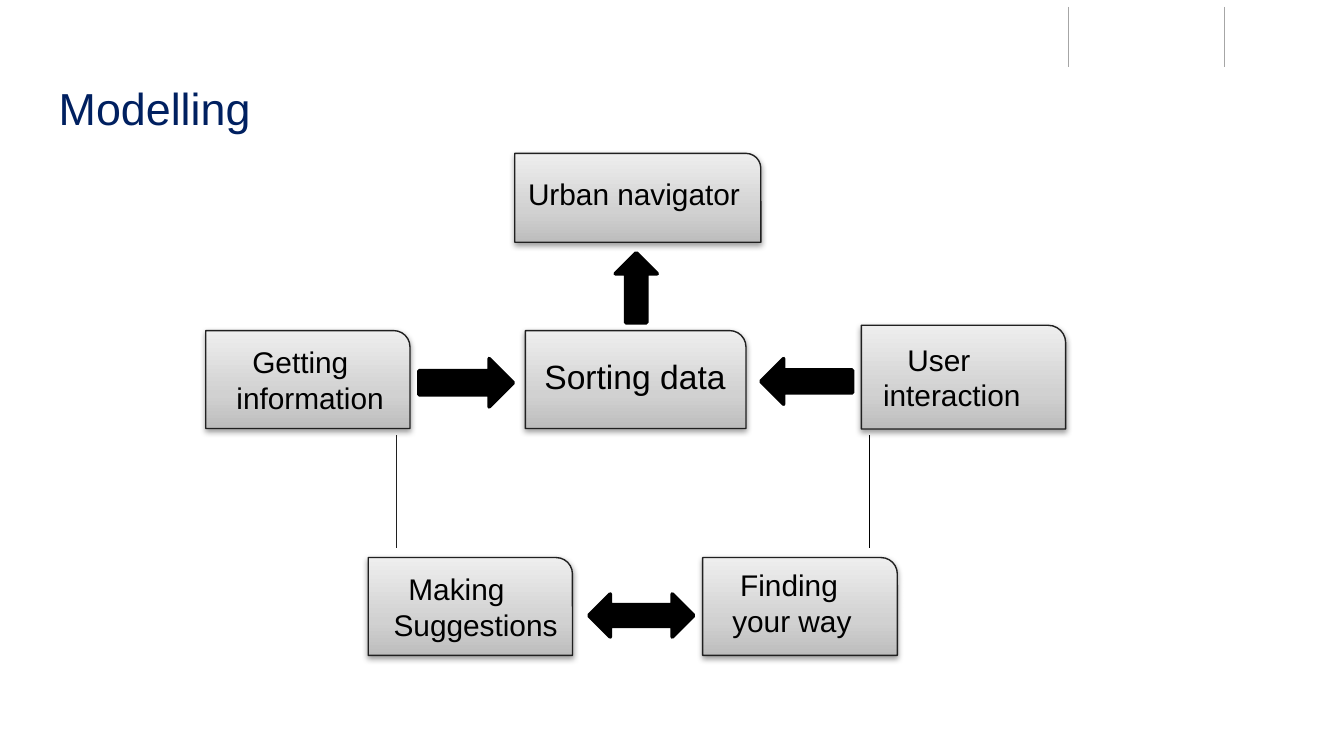
"""Build the Modelling slide: a diagram of labelled boxes, arrows and lines."""
from copy import deepcopy

from lxml import etree
from pptx import Presentation
from pptx.dml.color import RGBColor
from pptx.enum.shapes import MSO_CONNECTOR, MSO_SHAPE
from pptx.enum.text import MSO_ANCHOR, PP_ALIGN
from pptx.oxml.ns import qn
from pptx.util import Cm, Pt

BOX = MSO_SHAPE.ROUND_1_RECTANGLE
UP = MSO_SHAPE.UP_ARROW
RIGHT = MSO_SHAPE.RIGHT_ARROW
LEFT = MSO_SHAPE.LEFT_ARROW
BOTH = MSO_SHAPE.LEFT_RIGHT_ARROW
STRAIGHT = MSO_CONNECTOR.STRAIGHT
TOP = MSO_ANCHOR.TOP
MIDDLE = MSO_ANCHOR.MIDDLE
START = PP_ALIGN.LEFT


def color(code):
    return RGBColor.from_string(code)


class Deck:
    font = "Arial"
    navy, black, edge, grey = "002060", "000000", "202020", "A6A6A6"
    stops = ((0, "BDBDBD"), (0.35, "D1D1D1"), (1, "EEEEEE"))

    def __init__(self):
        self.prs = Presentation()
        self.prs.slide_width, self.prs.slide_height = Cm(25.4), Cm(14.29)
        self.slide = self.prs.slides.add_slide(self.prs.slide_layouts[5])

    def style(self, para, size, code):
        para.alignment = START
        for run in para.runs:
            run.font.name = self.font
            run.font.size = Pt(size)
            run.font.color.rgb = color(code)

    def title(self, text, x, y, w, h):
        shape = self.slide.shapes.title
        shape.left, shape.top, shape.width, shape.height = map(Cm, (x, y, w, h))
        frame = shape.text_frame
        frame.text = text
        frame.vertical_anchor = MIDDLE
        frame.margin_left = Cm(0.25)
        self.style(frame.paragraphs[0], 24, self.navy)

    def shape(self, kind, x, y, w, h, line, width):
        shape = self.slide.shapes.add_shape(kind, *map(Cm, (x, y, w, h)))
        shape.shadow.inherit = False
        shape.line.color.rgb = color(line)
        shape.line.width = Pt(width)
        return shape

    def shade(self, shape):
        shape.fill.gradient()
        shape.fill.gradient_angle = 90
        props = shape._element.spPr
        marks = props.find(qn("a:gradFill")).find(qn("a:gsLst"))
        marks.append(deepcopy(marks[-1]))
        for stop, (place, code) in zip(shape.fill.gradient_stops, self.stops):
            stop.position = place
            stop.color.rgb = color(code)
        glow = etree.SubElement(
            props.find(qn("a:effectLst")), qn("a:outerShdw"),
            blurRad="40000", dist="20000", dir="5400000", rotWithShape="0")
        tone = etree.SubElement(glow, qn("a:srgbClr"), val=self.black)
        etree.SubElement(tone, qn("a:alpha"), val="38000")

    def box(self, text, x, y, w, h, left, top, indent=0, size=16):
        shape = self.shape(BOX, x, y, w, h, self.edge, 0.75)
        self.shade(shape)
        frame = shape.text_frame
        frame.text = text
        frame.word_wrap = True
        frame.vertical_anchor = TOP
        frame.margin_left, frame.margin_top = Cm(left), Cm(top)
        frame.margin_right = frame.margin_bottom = 0
        for para in frame.paragraphs:
            self.style(para, size, self.black)
        first = frame.paragraphs[0]._p.get_or_add_pPr()
        first.set("indent", str(Cm(indent)))

    def arrow(self, kind, x, y, w, h):
        shape = self.shape(kind, x, y, w, h, self.black, 2)
        shape.fill.solid()
        shape.fill.fore_color.rgb = color(self.black)

    def line(self, x, top, end, code):
        line = self.slide.shapes.add_connector(
            STRAIGHT, *map(Cm, (x, top, x, end)))
        line.line.color.rgb = color(code)
        line.line.width = Pt(0.75)
        etree.SubElement(line._element.spPr, qn("a:effectLst"))


def main():
    deck = Deck()
    for x in (20.19, 23.14):
        deck.line(x, 0.13, 1.27, deck.grey)
    deck.title("Modelling", 0.86, 1.24, 23.67, 1.6)

    deck.box("Urban navigator", 9.73, 2.9, 4.65, 1.68, 0.25, 0.43)
    deck.box("User\ninteraction", 16.28, 6.15, 3.86, 1.96, 0.41, 0.3, 0.46)
    deck.box("Sorting data", 9.93, 6.25, 4.17, 1.85, 0.36, 0.48, size=18)
    deck.box("Getting\ninformation", 3.89, 6.25, 3.86, 1.85, 0.58, 0.25, 0.3)
    deck.box("Finding\nyour way", 13.28, 10.54, 3.68, 1.85, 0.56, 0.18, 0.15)
    deck.box("Making\nSuggestions", 6.96, 10.54, 3.86, 1.85, 0.48, 0.25, 0.28)

    deck.arrow(UP, 11.63, 4.78, 0.79, 1.32)
    deck.arrow(RIGHT, 7.92, 6.78, 1.78, 0.91)
    deck.arrow(LEFT, 14.38, 6.78, 1.73, 0.86)
    deck.arrow(BOTH, 11.13, 11.23, 1.98, 0.81)

    for x, code in ((7.49, deck.edge), (16.43, deck.black)):
        deck.line(x, 8.23, 10.36, code)
    deck.prs.save("out.pptx")


if __name__ == "__main__":
    main()
